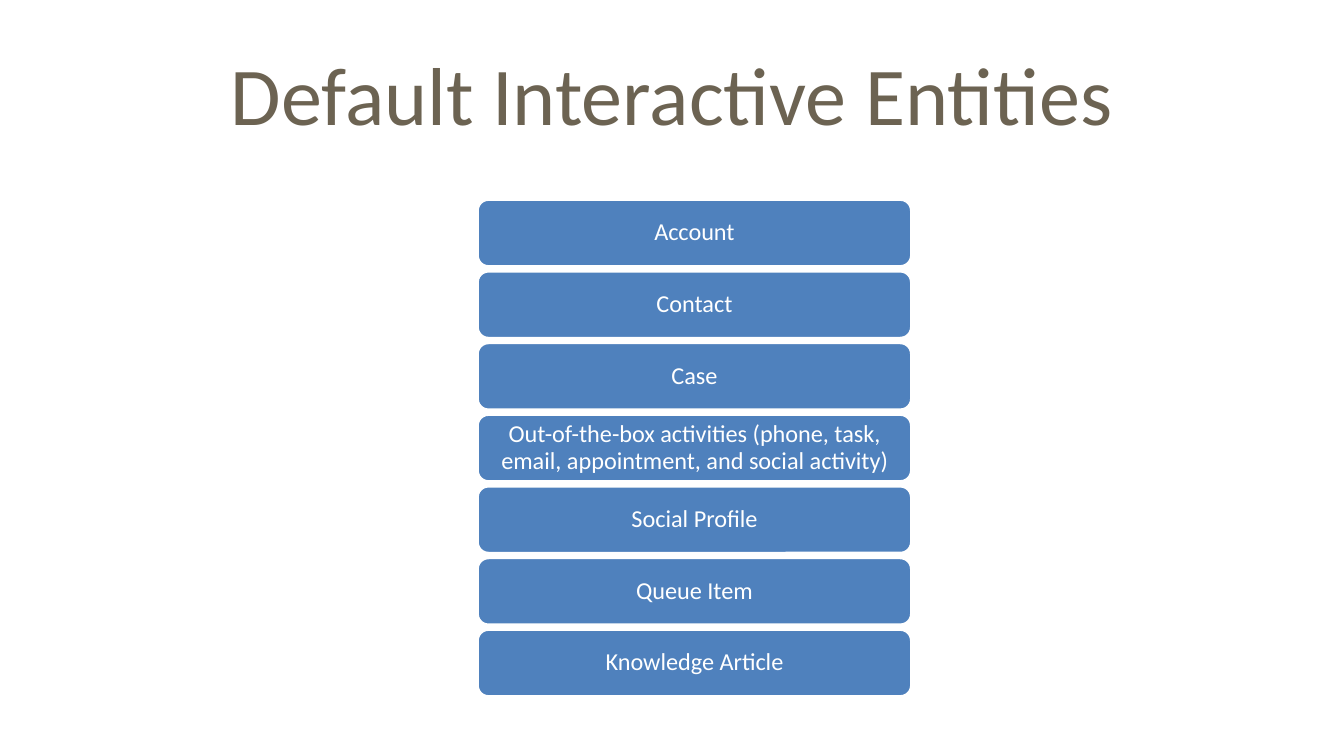
import pptx
import pptx.util
import pptx.dml.color
import pptx.enum.shapes
import pptx.enum.text

TITLE = "Default Interactive Entities"
ITEMS = [
    "Account",
    "Contact",
    "Case",
    "Out-of-the-box activities (phone, task, email, appointment, and social activity)",
    "Social Profile",
    "Queue Item",
    "Knowledge Article",
]
COLORS = {"title": "6C6352", "bar": "4F81BD", "white": "FFFFFF"}
FONT = "Calibri"
LEFT, FIRST, LAST, WIDTH, HEIGHT = 477, 199, 629, 435, 68
STEP = (LAST - FIRST) / (len(ITEMS) - 1)


def px(n):
    return pptx.util.Emu(round(n * 6804))


def color(name):
    return pptx.dml.color.RGBColor.from_string(COLORS[name])


def write(shape, text, size, tint, pad):
    frame = shape.text_frame
    frame.text = text
    frame.word_wrap = True
    frame.vertical_anchor = pptx.enum.text.MSO_ANCHOR.MIDDLE
    frame.margin_left = frame.margin_right = px(pad[0])
    frame.margin_top = frame.margin_bottom = px(pad[1])
    line = frame.paragraphs[0]
    line.alignment = pptx.enum.text.PP_ALIGN.CENTER
    font = line.runs[0].font
    font.name = FONT
    font.size = pptx.util.Pt(size)
    font.color.rgb = color(tint)
    return line


def add_bar(slide, text, top):
    kind = pptx.enum.shapes.MSO_SHAPE.ROUNDED_RECTANGLE
    bar = slide.shapes.add_shape(kind, px(LEFT), px(top), px(WIDTH), px(HEIGHT))
    bar.adjustments[0] = 0.17
    bar.shadow.inherit = False
    bar.fill.solid()
    bar.fill.fore_color.rgb = color("bar")
    bar.line.color.rgb = color("white")
    bar.line.width = pptx.util.Pt(2)
    write(bar, text, 13, "white", (7, 4)).line_spacing = 0.9


def main():
    deck = pptx.Presentation()
    deck.slide_width, deck.slide_height = px(1344), px(756)
    slide = deck.slides.add_slide(deck.slide_layouts[5])
    title = slide.shapes.title
    title.left, title.top, title.width, title.height = map(px, (67, 30, 1210, 126))
    write(title, TITLE, 44, "title", (13, 7))
    for i, text in enumerate(ITEMS):
        add_bar(slide, text, FIRST + i * STEP)
    deck.save("out.pptx")


if __name__ == "__main__":
    main()
